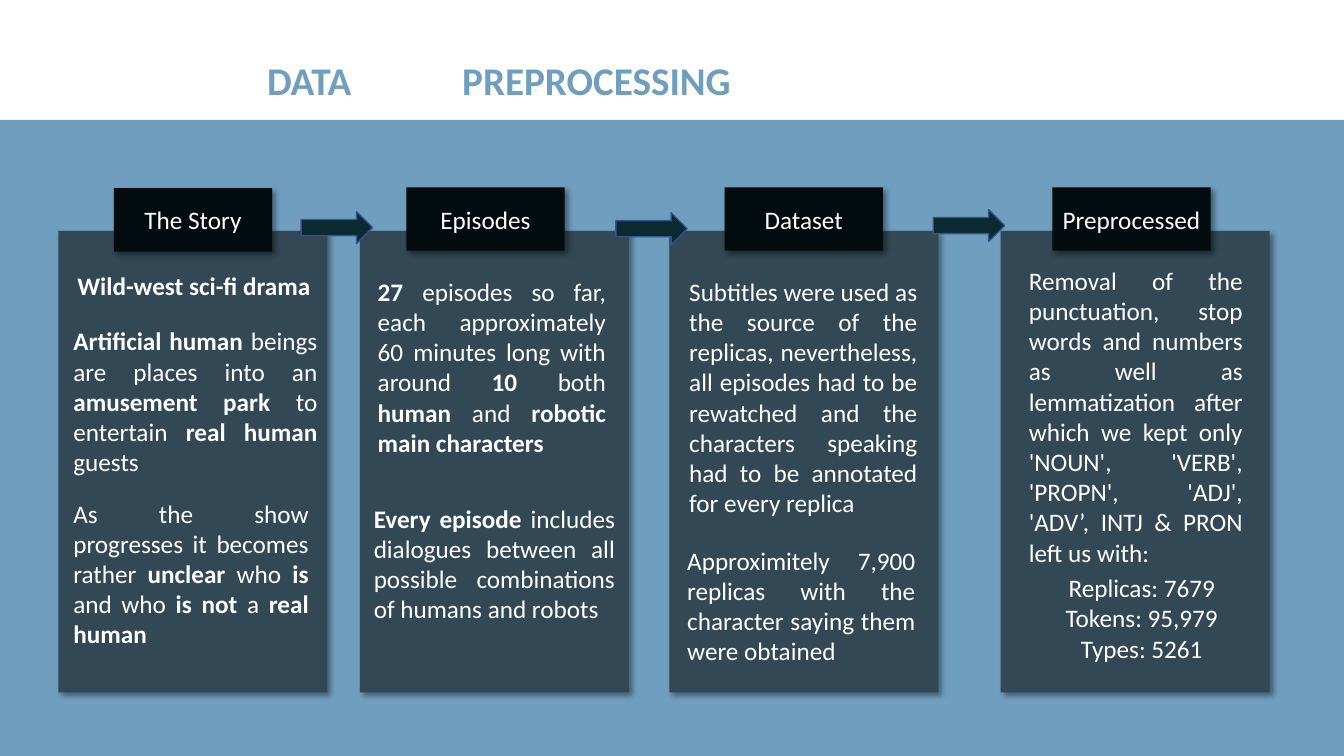
from lxml import etree
from pptx import Presentation
from pptx.dml.color import RGBColor
from pptx.enum.shapes import MSO_SHAPE
from pptx.enum.text import MSO_ANCHOR, PP_ALIGN
from pptx.oxml import parse_xml
from pptx.util import Cm, Pt

RECT, ARROW = MSO_SHAPE.RECTANGLE, MSO_SHAPE.RIGHT_ARROW
LEFT, CENTER, JUSTIFY = PP_ALIGN.LEFT, PP_ALIGN.CENTER, PP_ALIGN.JUSTIFY
MIDDLE = MSO_ANCHOR.MIDDLE
BLUE, CARD, HEADING, WHITE = "709EBF", "324855", "020B0D", "FFFFFF"
SHADOW = etree.fromstring(
    '<a:effectLst xmlns:a="http://schemas.openxmlformats.org/drawingml/2006/main">'
    '<a:outerShdw blurRad="50800" dist="38100" dir="2700000" algn="tl" rotWithShape="0">'
    '<a:srgbClr val="000000"><a:alpha val="40000"/></a:srgbClr>'
    '</a:outerShdw></a:effectLst>')

prs = Presentation()
prs.slide_width, prs.slide_height = Cm(33.87), Cm(19.05)
s = prs.slides.add_slide(prs.slide_layouts[6])


def add_shape(kind, x, y, w, h, fill, line=None, shadow=False):
    sp = s.shapes.add_shape(kind, Cm(x), Cm(y), Cm(w), Cm(h))
    sp.fill.solid()
    sp.fill.fore_color.rgb = RGBColor.from_string(fill)
    if line:
        sp.line.color.rgb = RGBColor.from_string(line)
        sp.line.width = Pt(1)
    else:
        sp.line.fill.background()
    sp.shadow.inherit = False
    if shadow:
        props = sp._element.spPr
        props.remove(props[-1])
        props.append(parse_xml(etree.tostring(SHADOW)))
    return sp


def write(sp, text, size=18, color=WHITE, align=LEFT):
    """Fill a shape with text: one paragraph a line, bold between double asterisks."""
    tf = sp.text_frame
    tf.word_wrap = True
    for i, line in enumerate(text.split("\n")):
        p = tf.add_paragraph() if i else tf.paragraphs[0]
        p.alignment = align
        for j, part in enumerate(line.split("**")):
            if part:
                r = p.add_run()
                r.text = part
                r.font.name, r.font.size, r.font.bold = "Calibri", Pt(size), j % 2 == 1
                r.font.color.rgb = RGBColor.from_string(color)


# Title and background band
add_shape(RECT, 0, 3.02, 33.87, 16.03, BLUE)
for x, word in [(6.48, "DATA"), (11.4, "PREPROCESSING")]:
    title = s.shapes.add_textbox(Cm(x), Cm(1.3), Cm(9.86), Cm(1.45))
    write(title, f"**{word}**", size=28, color=BLUE)

# Cards with their headings
columns = [
    (1.47, 2.87, 4.74, "The Story"),
    (9.07, 10.24, 4.72, "Episodes"),
    (16.87, 18.26, 4.72, "Dataset"),
    (25.22, 26.52, 4.72, "Preprocessed"),
]
for card_x, heading_x, heading_y, heading in columns:
    add_shape(RECT, card_x, 5.82, 6.78, 11.63, CARD, shadow=True)
    sp = add_shape(RECT, heading_x, heading_y, 3.99, 1.6, HEADING, shadow=True)
    sp.text_frame.vertical_anchor = MIDDLE
    write(sp, heading, align=CENTER)

# Arrows between the steps
for x, y in [(7.59, 5.33), (15.52, 5.36), (23.52, 5.28)]:
    add_shape(ARROW, x, y, 1.8, 0.81, "0B2930", line="325491")

# Card texts
texts = [
    (1.7, 6.68, 6.96, 1.02, LEFT, "**Wild-west sci-fi drama**"),
    (1.6, 8.08, 6.65, 4.11, JUSTIFY,
     "**Artificial human **beings are places into an **amusement park **"
     "to entertain **real human **guests"),
    (1.6, 12.42, 6.43, 4.11, JUSTIFY,
     "As the show progresses it becomes rather **unclear** who **is **"
     "and who **is not **a **real human**"),
    (9.27, 6.83, 6.25, 4.88, JUSTIFY,
     "**27 **episodes so far, each approximately 60 minutes long with around "
     "**10 **both **human** and **robotic main characters**"),
    (9.17, 12.55, 6.58, 3.33, JUSTIFY,
     "**Every episode **includes dialogues between all possible combinations "
     "of humans and robots"),
    (17.12, 6.83, 6.25, 6.4, JUSTIFY,
     "Subtitles were used as the source of the replicas, nevertheless, all "
     "episodes had to be rewatched and the characters speaking had to be "
     "annotated for every replica"),
    (17.07, 13.61, 6.25, 3.33, JUSTIFY,
     "Approximitely 7,900 replicas with the character saying them were obtained"),
    (25.68, 6.55, 5.89, 7.95, JUSTIFY,
     "Removal of the punctuation, stop words and numbers as well as "
     "lemmatization after which we kept only 'NOUN', 'VERB', 'PROPN', 'ADJ', "
     "'ADV’, INTJ & PRON left us with:"),
    (25.83, 14.3, 5.89, 2.57, CENTER,
     "Replicas: 7679\nTokens: 95,979\nTypes: 5261"),
]
for x, y, w, h, align, text in texts:
    write(s.shapes.add_textbox(Cm(x), Cm(y), Cm(w), Cm(h)), text, align=align)

prs.save("out.pptx")
